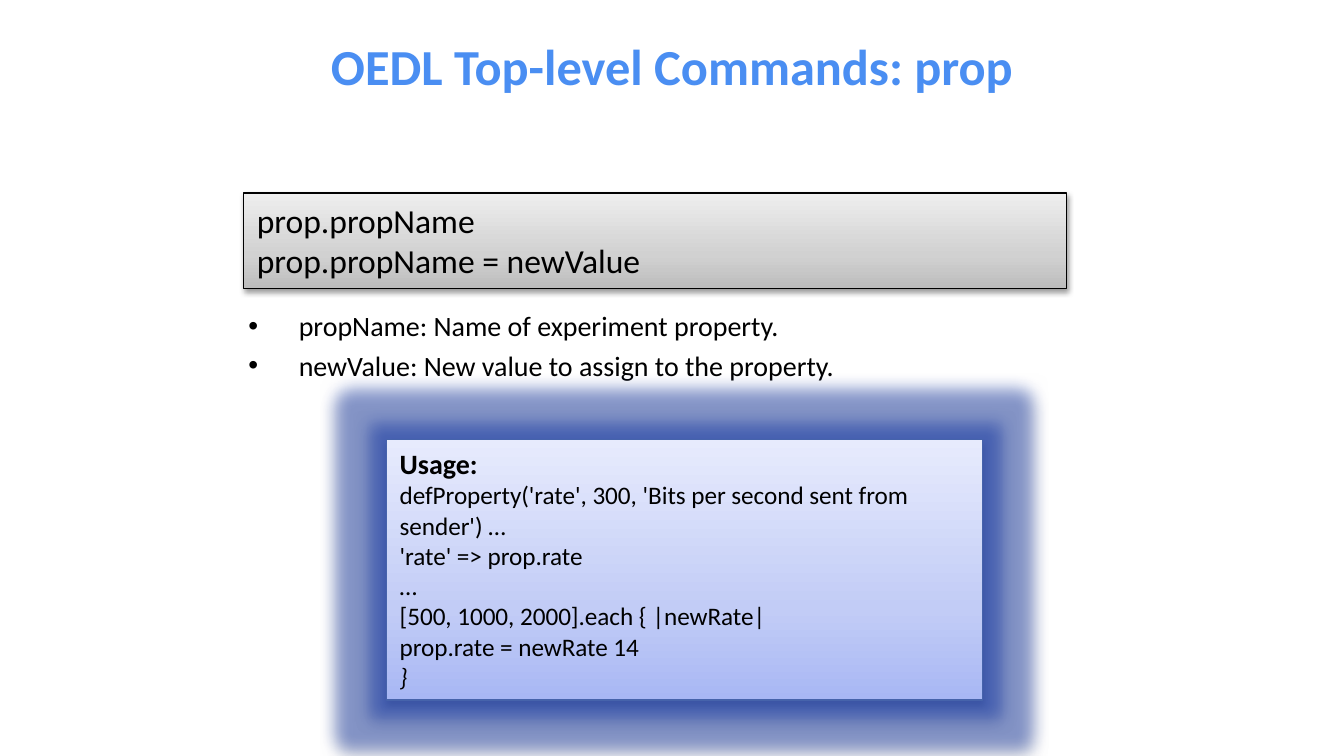
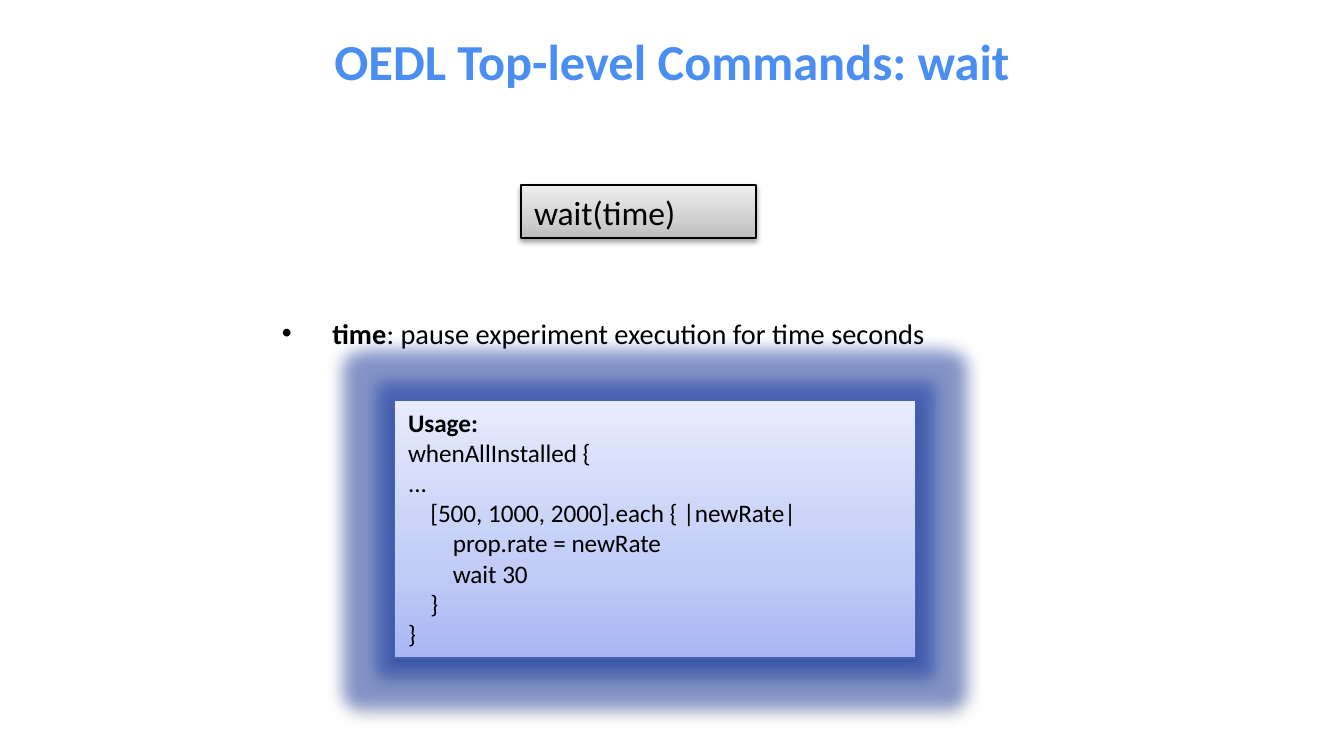
from lxml.etree import SubElement
from pptx import Presentation
from pptx.dml.color import RGBColor
from pptx.enum.shapes import MSO_SHAPE
from pptx.enum.text import MSO_ANCHOR, MSO_AUTO_SIZE, PP_ALIGN
from pptx.oxml import parse_xml
from pptx.oxml.ns import nsdecls, qn
from pptx.util import Pt

PX = 9525
FONT = "Calibri"
TITLE_BLUE = RGBColor(0x4A, 0x8E, 0xF2)
BLACK = RGBColor(0x00, 0x00, 0x00)
USAGE_BORDER = RGBColor(0x46, 0x63, 0xAB)
GLOW_BLUE = RGBColor(0x00, 0x28, 0xA5)
GREYS = [RGBColor(0xBD, 0xBD, 0xBD), RGBColor(0xD1, 0xD1, 0xD1), RGBColor(0xEE, 0xEE, 0xEE)]
BLUES = [RGBColor(0xA8, 0xB7, 0xF4), RGBColor(0xC2, 0xCC, 0xF6), RGBColor(0xE7, 0xEB, 0xFD)]

SYNTAX = {"colors": GREYS, "border": BLACK, "alpha": 38, "blur": 3.1, "distance": 1.6, "glow": 0}
USAGE = {"colors": BLUES, "border": USAGE_BORDER, "alpha": 35, "blur": 4, "distance": 3, "glow": 24}
BOLD = {"bold": True}

SLIDES = [
    {
        "title": "OEDL Top-level Commands: prop",
        "title_top": 2,
        "syntax_at": (174, 138, 588, 68),
        "syntax": ["prop.propName", "prop.propName = newValue"],
        "bullets_at": (168, 216, 594, 84),
        "bullet_size": 15,
        "bullets": [
            [("propName: Name of experiment property.", {})],
            [("newValue: New value to assign to the property.", {})],
        ],
        "usage_at": (276, 314, 426, 186),
        "usage": [
            (0, "Usage:", {"bold": True, "size": Pt(15)}),
            (0, "defProperty('rate', 300, 'Bits per second sent from sender') …", {}),
            (0, "'rate' => prop.rate", {}),
            (0, "…", {}),
            (0, "[500, 1000, 2000].each { |newRate|", {}),
            (0, "prop.rate = newRate 14", {}),
            (0, "}", {"italic": True}),
        ],
    },
    {
        "title": "OEDL Top-level Commands: wait",
        "title_top": -2,
        "syntax_at": (372, 132, 168, 38),
        "syntax": ["wait(time)"],
        "bullets_at": (192, 221, 594, 30),
        "bullet_size": 15.2,
        "bullets": [[("time", BOLD), (": pause experiment execution for time seconds", {})]],
        "usage_at": (282, 286, 372, 184),
        "usage": [
            (0, "Usage:", BOLD),
            (0, "whenAllInstalled {", {}),
            (0, "...", {}),
            (1, "[500, 1000, 2000].each { |newRate|", {}),
            (2, "prop.rate = newRate", {}),
            (2, "wait 30", {}),
            (1, "}", {}),
            (0, "}", {}),
        ],
    },
]


def write(frame, lines, size, color=BLACK, align=PP_ALIGN.LEFT):
    frame.word_wrap = True
    for number, (indent, spans) in enumerate(lines):
        para = frame.add_paragraph() if number else frame.paragraphs[0]
        para.alignment = align
        if indent:
            para._p.get_or_add_pPr().set("marL", str(indent * PX))
        for text, extra in spans:
            span = para.add_run()
            span.text = text
            span.font.color.rgb = color
            for name, value in {"name": FONT, "size": Pt(size), "bold": False, **extra}.items():
                setattr(span.font, name, value)


def add_panel(page, place, style, lines, size):
    box = page.shapes.add_shape(MSO_SHAPE.RECTANGLE, *[value * PX for value in place])
    properties = box._element.spPr
    stops = "".join(
        f'<a:gs pos="{position}000"><a:srgbClr val="{color}"/></a:gs>'
        for position, color in zip((0, 35, 100), style["colors"])
    )
    properties.append(parse_xml(
        f'<a:gradFill {nsdecls("a")} rotWithShape="1"><a:gsLst>{stops}</a:gsLst>'
        '<a:lin ang="16200000" scaled="0"/></a:gradFill>'
    ))
    box.line.color.rgb = style["border"]
    box.line.width = Pt(0.75)
    glow = ""
    if style["glow"]:
        glow = (f'<a:glow rad="{style["glow"] * PX}"><a:srgbClr val="{GLOW_BLUE}">'
                '<a:alpha val="40000"/></a:srgbClr></a:glow>')
    properties.append(parse_xml(
        f'<a:effectLst {nsdecls("a")}>{glow}<a:outerShdw blurRad="{Pt(style["blur"])}" '
        f'dist="{Pt(style["distance"])}" dir="5400000" rotWithShape="0">'
        f'<a:srgbClr val="{BLACK}"><a:alpha val="{style["alpha"]}000"/></a:srgbClr>'
        '</a:outerShdw></a:effectLst>'
    ))
    frame = box.text_frame
    frame.vertical_anchor = MSO_ANCHOR.TOP
    write(frame, lines, size)
    frame.auto_size = MSO_AUTO_SIZE.SHAPE_TO_FIT_TEXT


deck = Presentation()
deck.slide_width, deck.slide_height = 960 * PX, 540 * PX

for content in SLIDES:
    page = deck.slides.add_slide(deck.slide_layouts[5])

    title = page.shapes.title
    place = {"left": 0, "top": content["title_top"], "width": 960, "height": 90}
    for name, value in place.items():
        setattr(title, name, value * PX)
    title.text_frame.auto_size = MSO_AUTO_SIZE.NONE
    title.text_frame.vertical_anchor = MSO_ANCHOR.MIDDLE
    write(title.text_frame, [(0, [(content["title"], BOLD)])], 27, TITLE_BLUE, PP_ALIGN.CENTER)

    bullets = page.shapes.add_textbox(*[value * PX for value in content["bullets_at"]])
    write(bullets.text_frame, [(36, spans) for spans in content["bullets"]], content["bullet_size"])
    for para in bullets.text_frame.paragraphs:
        para.space_before = Pt(3)
        settings = para._p.get_or_add_pPr()
        settings.set("indent", str(-36 * PX))
        SubElement(settings, qn("a:buFont")).set("typeface", "Arial")
        SubElement(settings, qn("a:buChar")).set("char", "•")

    syntax = [(0, [(text, {})]) for text in content["syntax"]]
    add_panel(page, content["syntax_at"], SYNTAX, syntax, 18)

    usage = [(level * 16, [(text, extra)]) for level, text, extra in content["usage"]]
    add_panel(page, content["usage_at"], USAGE, usage, 13.5)

deck.save("out.pptx")
